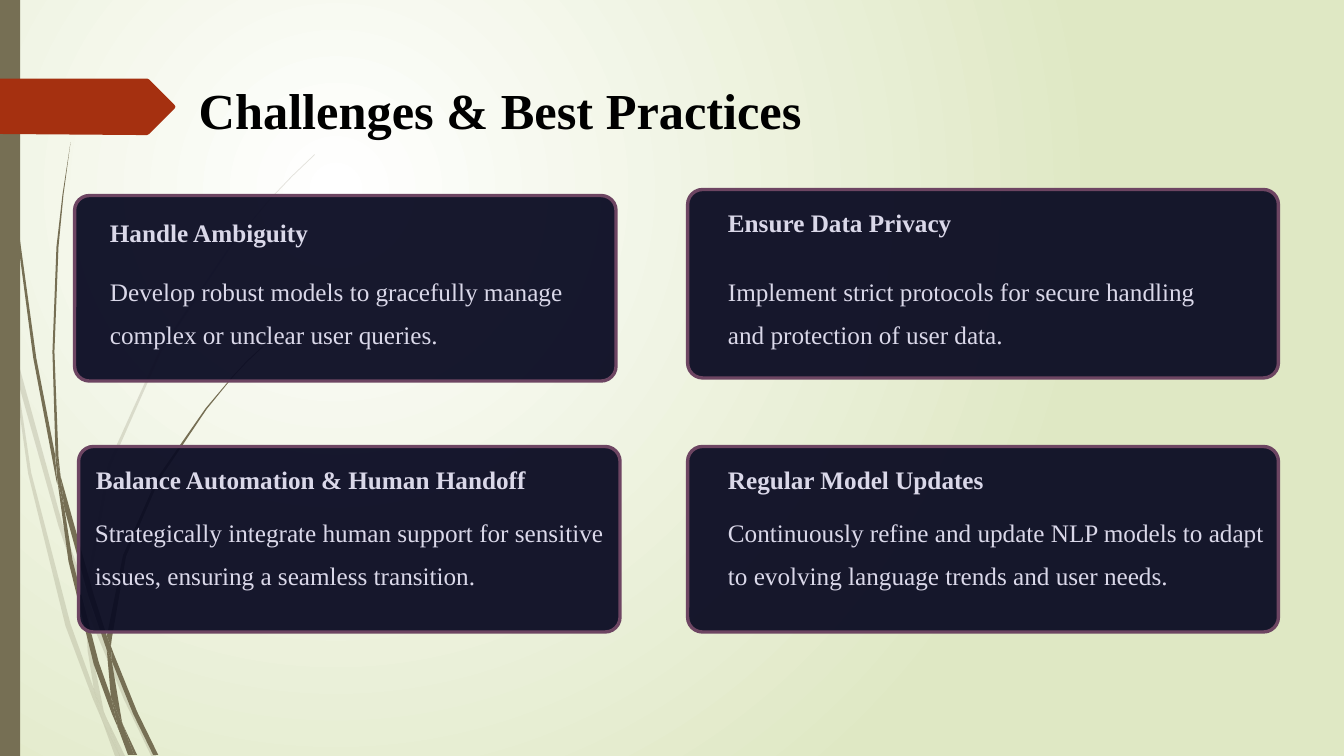
from lxml import etree
from pptx import Presentation
from pptx.dml.color import RGBColor
from pptx.enum.shapes import MSO_SHAPE as SHAPE
from pptx.enum.text import MSO_ANCHOR as ANCHOR, PP_ALIGN as ALIGN
from pptx.oxml.ns import qn
from pptx.util import Inches, Pt

FONT = "Times New Roman"
OLIVE, RUST, NAVY, PLUM = "766F54", "A53010", "0B0C23", "6D4562"
BLACK, LILAC = "000000", "DAD8E9"

# Grass blades: the corner points of each outline, in inches
PALE_BLADES = [
    "0.11,3.5 0.09,3.22 0,2.82 0,2.99 0.1,3.44",
    "0.58,5.22 0.84,5.99 0.85,5.86 0.62,5.2 0.14,3.45 0.17,3.76",
    "0.92,6.07 0.88,5.96 0.88,6.1 1.23,6.94 1.5,7.5 1.55,7.5 1.27,6.92",
    "1.19,7.5 1.24,7.5 1.05,7.11",
    "0.93,6.83 0.7,6.19 0.31,4.69 0.17,3.76 0.11,3.5 0.28,4.7 0.65,6.21 "
    "0.92,6.93 1.01,7.14 0.99,7.07",
    "0.84,5.99 0.87,6.46 0.93,6.83 0.96,6.92 1.05,7.11 1.03,7.06 0.91,6.46 "
    "0.88,6.1 0.88,6.08",
    "0.88,5.84 1.1,4.62 1.6,3.49 2.29,2.45 2.68,1.98 2.9,1.75 3.12,1.54 "
    "3.12,1.53 2.89,1.75 2.68,1.97 2.28,2.44 1.58,3.48 1.07,4.61 0.85,5.84 "
    "0.85,5.86 0.88,5.96",
    "1.01,7.14 1.14,7.5 1.19,7.5",
    "0.88,6.08 0.88,6.1 0.88,5.96 0.85,5.86 0.84,5.99",
    "0.96,6.92 0.93,6.83 0.99,7.07 1.01,7.14 1.19,7.5 1.05,7.11",
]
DARK_BLADES = [
    "0.07,1.1 0.17,2.33 0.33,3.55 0.56,4.77 0.57,4.81 0.55,4.57 0.55,4.53 "
    "0.36,3.55 0.19,2.32 0.08,1.09 0.05,0.48 0.04,0 0.03,0 0.04,0.48",
    "0.88,5.92 1.06,6.45 1.06,6.33 1.06,6.31 0.93,5.9 0.6,4.72 0.64,5.05",
    "1.13,6.49 1.1,6.41 1.11,6.56 1.32,7.08 1.52,7.49 1.57,7.49 1.36,7.06",
    "1.1,6.91 0.98,6.57 0.72,5.56 0.64,5.05 0.57,4.77 0.68,5.57 0.93,6.59 "
    "1.11,7.08 1.17,7.22 1.16,7.17",
    "0.6,4.72 0.58,4.53 0.54,3.49 0.58,2.45 0.63,1.93 0.7,1.41 0.62,1.93 "
    "0.56,2.45 0.52,3.49 0.55,4.49",
    "1.33,7.49 1.36,7.49 1.22,7.19",
    "0.57,4.77 0.64,5.05 0.6,4.72 0.55,4.49 0.55,4.53",
    "1.11,6.33 1.25,5.52 1.58,4.76 2.05,4.06 2.31,3.74 2.45,3.59 2.61,3.44 "
    "2.6,3.44 2.45,3.58 2.31,3.73 2.04,4.05 1.56,4.74 1.22,5.51 1.06,6.31 "
    "1.1,6.41",
    "1.17,7.22 1.27,7.49 1.31,7.49",
    "1.06,6.45 1.1,6.91 1.16,7.06 1.22,7.19 1.21,7.16 1.11,6.56 1.09,6.51",
    "1.06,6.45 1.09,6.51 1.11,6.56 1.1,6.41 1.06,6.31 1.06,6.33",
    "1.16,7.06 1.1,6.91 1.16,7.17 1.17,7.22 1.3,7.49 1.33,7.49 1.22,7.19",
]
ARROW = ("1.73,1.08 1.48,1.33 1.46,1.34 1.36,1.34 0,1.33 0,0.78 1.46,0.78 "
         "1.48,0.79 1.73,1.04 1.74,1.06")

# Card box, heading (left, top, width, text), body (left, top, width, text)
CARDS = [
    ((0.74, 1.94, 5.37, 1.84),
     (1.09, 2.08, 3, "Handle Ambiguity"),
     (1.09, 2.61, 4.61, "Develop robust models to gracefully manage complex "
                        "or unclear user queries.")),
    ((6.82, 1.88, 5.86, 1.87),
     (7.22, 1.98, 3, "Ensure Data Privacy"),
     (7.22, 2.61, 4.83, "Implement strict protocols for secure handling and "
                        "protection of user data.")),
    ((0.78, 4.43, 5.37, 1.84),
     (0.95, 4.53, 5.68, "Balance Automation & Human Handoff"),
     (0.94, 5, 5.33, "Strategically integrate human support for sensitive "
                     "issues, ensuring a seamless transition.")),
    ((6.82, 4.43, 5.86, 1.84),
     (7.22, 4.53, 3.44, "Regular Model Updates"),
     (7.22, 5, 5.33, "Continuously refine and update NLP models to adapt to "
                     "evolving language trends and user needs.")),
]


def rgb(color):
    return RGBColor.from_string(color)


class SlideBuilder:
    def __init__(self, slide):
        self.s = slide
        self.font = FONT

    def background(self, inner, outer):
        fill = self.s.background.fill
        fill.gradient()
        for stop, color in zip(fill.gradient_stops, (inner, outer)):
            stop.color.rgb = rgb(color)
        grad = self.s.element.find(".//" + qn("a:gradFill"))
        grad.remove(grad.find(qn("a:lin")))
        path = etree.SubElement(grad, qn("a:path"), path="circle")
        etree.SubElement(path, qn("a:fillToRect"), l="50000", t="50000",
                         r="100000", b="100000")

    def paint(self, sp, fill, opacity=100, line=None):
        sp.shadow.inherit = False
        sp.fill.solid()
        sp.fill.fore_color.rgb = rgb(fill)
        if opacity < 100:
            clr = sp._element.spPr.find(".//" + qn("a:srgbClr"))
            etree.SubElement(clr, qn("a:alpha"), val=str(opacity * 1000))
        if line:
            sp.line.color.rgb = rgb(line)
            sp.line.width = Pt(2.4)
        else:
            sp.line.fill.background()

    def outline(self, shapes, points, fill, opacity=100):
        start, *rest = [tuple(Inches(float(n)) for n in point.split(","))
                        for point in points.split()]
        builder = shapes.build_freeform(*start)
        builder.add_line_segments(rest, close=True)
        self.paint(builder.convert_to_shape(), fill, opacity)

    def grass(self, blades, opacity):
        group = self.s.shapes.add_group_shape()
        for points in blades:
            self.outline(group.shapes, points, OLIVE, opacity)

    def box(self, kind, box, fill, opacity=100, line=None):
        sp = self.s.shapes.add_shape(kind, *map(Inches, box))
        self.paint(sp, fill, opacity, line)
        return sp

    def text(self, box, text, size, spacing, color, bold=False, wrap=False):
        tf = self.s.shapes.add_textbox(*map(Inches, box)).text_frame
        tf.margin_left = tf.margin_right = tf.margin_top = tf.margin_bottom = 0
        tf.word_wrap = wrap
        tf.vertical_anchor = ANCHOR.TOP
        tf.text = text
        p = tf.paragraphs[0]
        p.alignment = ALIGN.LEFT
        p.line_spacing = Pt(spacing)
        r = p.runs[0]
        r.font.name = self.font
        r.font.size = Pt(size)
        r.font.bold = bold
        r.font.color.rgb = rgb(color)

    def card(self, box, heading, body):
        sp = self.box(SHAPE.ROUNDED_RECTANGLE, box, NAVY, 95, PLUM)
        sp.adjustments[0] = 0.08
        *place, text = heading
        self.text((*place, 0.38), text, 18, 27, LILAC, bold=True)
        *place, text = body
        self.text((*place, 0.86), text, 18, 31, LILAC, wrap=True)


def main():
    prs = Presentation()
    prs.slide_width, prs.slide_height = Inches(13.33), Inches(7.5)
    sb = SlideBuilder(prs.slides.add_slide(prs.slide_layouts[6]))

    # Backdrop: gradient, grass, side bar and arrow tab
    sb.background("FFFFFF", "DFE8C4")
    sb.grass(PALE_BLADES, 20)
    sb.grass(DARK_BLADES, 100)
    sb.box(SHAPE.RECTANGLE, (0, 0, 0.2, 7.5), OLIVE)
    sb.outline(sb.s.shapes, ARROW, RUST)

    # Title
    sb.text((1.97, 0.63, 9.58, 0.75), "Challenges & Best Practices",
            36, 54, BLACK, bold=True)

    # Cards
    for card in CARDS:
        sb.card(*card)

    prs.save("out.pptx")


if __name__ == "__main__":
    main()
